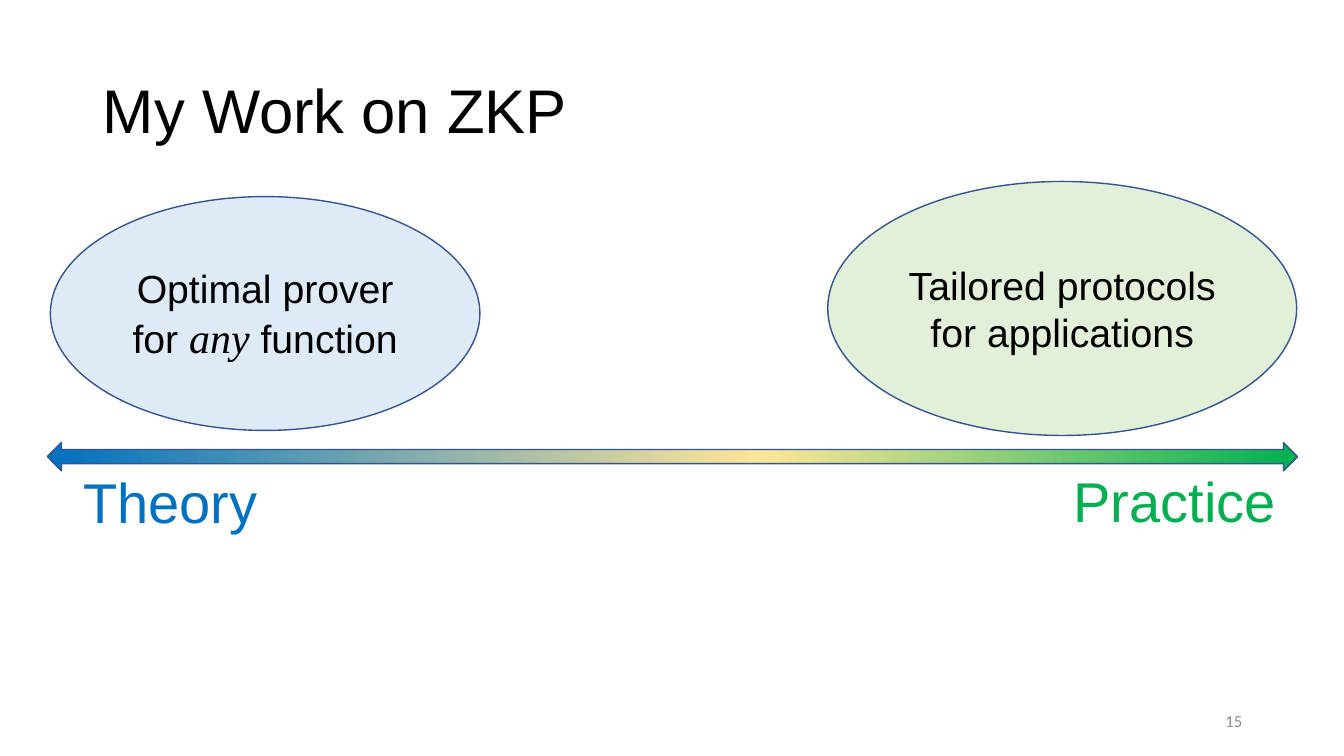
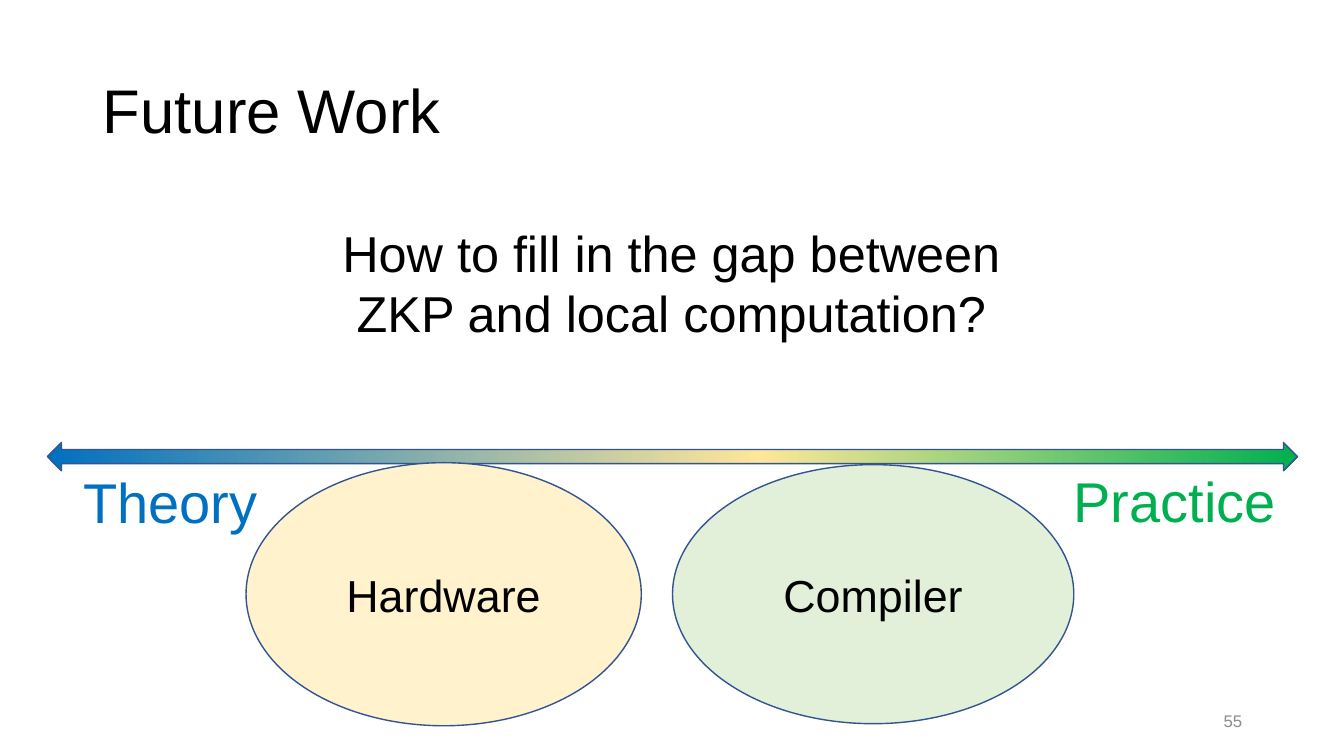
from copy import deepcopy

from pptx import Presentation
from pptx.dml.color import RGBColor
from pptx.enum.shapes import MSO_SHAPE
from pptx.enum.text import MSO_ANCHOR, MSO_AUTO_SIZE, PP_ALIGN
from pptx.oxml.ns import qn
from pptx.util import Emu, Pt

OVAL, DOUBLE_ARROW = MSO_SHAPE.OVAL, MSO_SHAPE.LEFT_RIGHT_ARROW
TOP, MIDDLE = MSO_ANCHOR.TOP, MSO_ANCHOR.MIDDLE
LEFT, CENTER, RIGHT = PP_ALIGN.LEFT, PP_ALIGN.CENTER, PP_ALIGN.RIGHT
NO_FIT = MSO_AUTO_SIZE.NONE
TITLE_ONLY = 5

EMU_PER_PX = 9144  # 100 px to the inch
SLIDE_SIZE = (1333, 750)
TITLE_AREA = (92, 40, 1150, 145)
NUMBER_AREA = (942, 695, 300, 40)

SANS, SERIF, NUMBER_FONT = "Arial", "Times New Roman", "Calibri"
BLACK, GRAY, OUTLINE = "000000", "8C8C8C", "325491"
THEORY, MIDWAY, PRACTICE = "0070C0", "FFE699", "00B050"
PALE_BLUE, PALE_GREEN, PALE_YELLOW = "DEEBF7", "E2F0D9", "FFF2CC"
SPECTRUM = [(0, THEORY), (0.57, MIDWAY), (1, PRACTICE)]


def px(length):
    return Emu(length * EMU_PER_PX)


def rgb(value):
    return RGBColor.from_string(value)


def add_span(para, text, size, color=BLACK, font=SANS, italic=False):
    span = para.add_run()
    span.text = text
    span.font.size = Pt(size)
    span.font.name = font
    span.font.italic = italic
    span.font.color.rgb = rgb(color)


def write(frame, paragraphs, align=CENTER, anchor=MIDDLE):
    """Fill a text frame; each paragraph is a list of add_span arguments."""
    frame.word_wrap = True
    frame.auto_size = NO_FIT
    frame.vertical_anchor = anchor
    for index, spans in enumerate(paragraphs):
        para = frame.add_paragraph() if index else frame.paragraphs[0]
        para.alignment = align
        for span in spans:
            add_span(para, *span)


def add_text(page, area, span, align=CENTER, anchor=TOP):
    box = page.shapes.add_textbox(*map(px, area))
    write(box.text_frame, [[span]], align, anchor)


def add_outlined(page, kind, area):
    shape = page.shapes.add_shape(kind, *map(px, area))
    shape.shadow.inherit = False
    shape.line.color.rgb = rgb(OUTLINE)
    shape.line.width = Pt(1)
    return shape


def add_bubble(page, area, color, paragraphs):
    bubble = add_outlined(page, OVAL, area)
    bubble.fill.solid()
    bubble.fill.fore_color.rgb = rgb(color)
    write(bubble.text_frame, paragraphs)


def add_spectrum(page):
    """Draw the arrow from theory to practice with its two labels."""
    add_text(page, (56, 459, 226, 77), ("Theory", 40, THEORY))
    add_text(page, (1043, 458, 244, 77), ("Practice", 40, PRACTICE))
    arrow = add_outlined(page, DOUBLE_ARROW, (47, 439, 1240, 28))
    arrow.fill.gradient()
    arrow.fill.gradient_angle = 0
    # The default gradient has two stops; a third one is needed
    stop_list = arrow._element.spPr.find(qn("a:gradFill")).find(qn("a:gsLst"))
    stop_list.append(deepcopy(stop_list[-1]))
    for stop, (position, color) in zip(arrow.fill.gradient_stops, SPECTRUM):
        stop.position = position
        stop.color.rgb = rgb(color)


def add_page(deck, title, number, number_font):
    page = deck.slides.add_slide(deck.slide_layouts[TITLE_ONLY])
    heading = page.shapes.title
    heading.left, heading.top, heading.width, heading.height = map(px, TITLE_AREA)
    write(heading.text_frame, [[(title, 44)]], LEFT)
    heading.text_frame.paragraphs[0].line_spacing = 0.9
    add_spectrum(page)
    add_text(page, NUMBER_AREA, (number, 12, GRAY, number_font), RIGHT, MIDDLE)
    return page


def build_my_work(deck):
    page = add_page(deck, "My Work on ZKP", "15", NUMBER_FONT)
    add_bubble(page, (50, 195, 426, 232), PALE_BLUE, [
        [("Optimal prover", 28)],
        [("for ", 28), ("any", 30, BLACK, SERIF, True), (" function", 28)],
    ])
    add_bubble(page, (821, 180, 465, 252), PALE_GREEN,
               [[("Tailored protocols for applications", 28)]])


def build_future_work(deck):
    page = add_page(deck, "Future Work", "55", SANS)
    add_bubble(page, (244, 459, 392, 261), PALE_YELLOW, [[("Hardware", 32)]])
    add_bubble(page, (667, 461, 398, 257), PALE_GREEN, [[("Compiler", 32)]])
    question = "How to fill in the gap between ZKP and local computation?"
    add_text(page, (280, 215, 772, 131), (question, 36))


def main():
    deck = Presentation()
    deck.slide_width, deck.slide_height = map(px, SLIDE_SIZE)
    build_my_work(deck)
    build_future_work(deck)
    deck.save("out.pptx")


if __name__ == "__main__":
    main()
